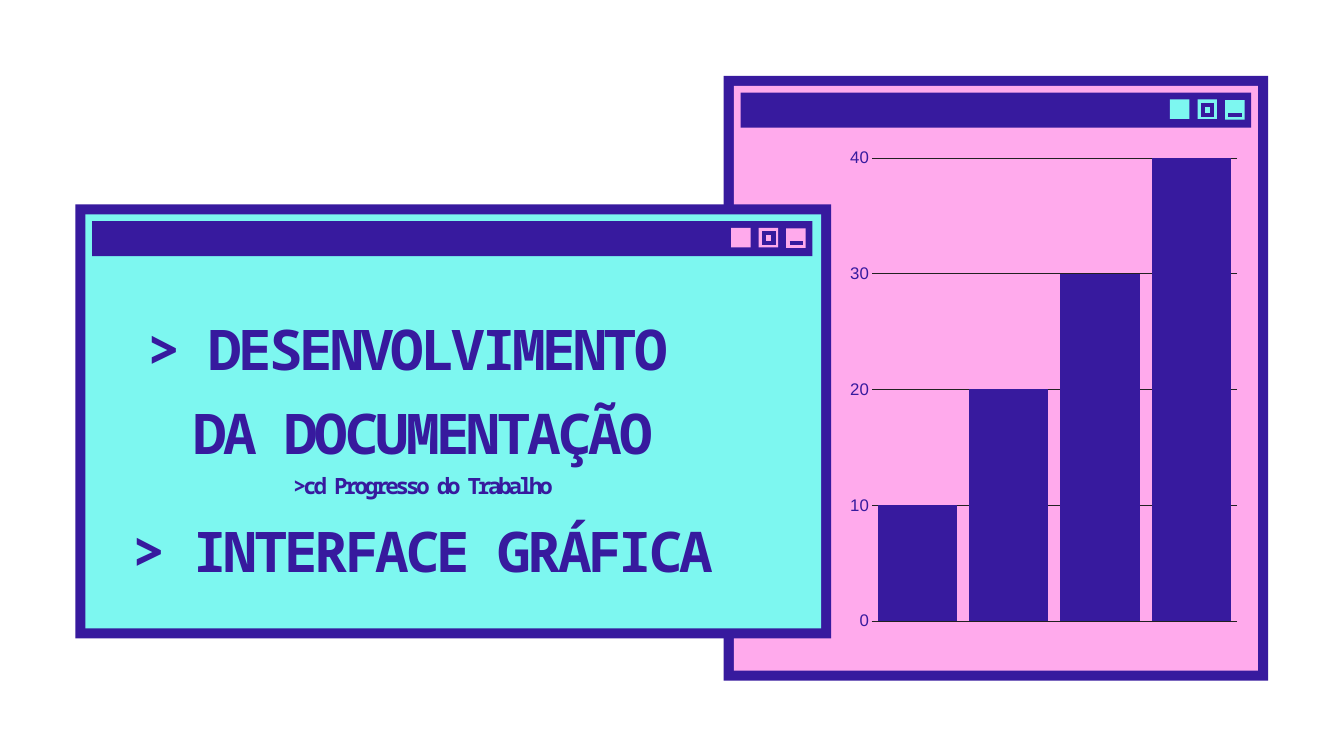
from lxml.etree import SubElement
from pptx import Presentation
from pptx.chart.data import CategoryChartData
from pptx.dml.color import RGBColor
from pptx.enum.chart import XL_CHART_TYPE, XL_TICK_LABEL_POSITION, XL_TICK_MARK
from pptx.enum.shapes import MSO_CONNECTOR, MSO_SHAPE
from pptx.enum.text import MSO_ANCHOR, MSO_AUTO_SIZE, PP_ALIGN
from pptx.oxml.ns import qn
from pptx.util import Inches, Pt

INDIGO, PINK, CYAN, INK = "371A9E", "FFAAEC", "7DF7F0", "212121"
MONO = "Noto Sans Mono"


def color(hex_code):
    """Turn a hex string into a colour."""
    return RGBColor.from_string(hex_code)


def add_block(slide, left, top, width, height, fill):
    """Draw a plain filled rectangle."""
    block = slide.shapes.add_shape(MSO_SHAPE.RECTANGLE, Inches(left), Inches(top),
                                   Inches(width), Inches(height))
    block.shadow.inherit = False
    block.fill.solid()
    block.fill.fore_color.rgb = color(fill)
    block.line.fill.background()


def add_stroke(slide, left, top, width=0, height=0):
    """Draw a thick straight line."""
    stroke = slide.shapes.add_connector(MSO_CONNECTOR.STRAIGHT, Inches(left), Inches(top),
                                        Inches(left + width), Inches(top + height))
    stroke.line.color.rgb = color(INDIGO)
    stroke.line.width = Pt(4.5)
    SubElement(stroke._element.spPr, qn("a:effectLst"))


def add_text(paragraph, text, size, font=MONO, fill=INDIGO, bold=True, spacing=0):
    """Append a formatted run to a paragraph."""
    run = paragraph.add_run()
    run.text = text
    run.font.size = Pt(size)
    run.font.name = font
    run.font.bold = bold
    run.font.color.rgb = color(fill)
    run._r.get_or_add_rPr().set("spc", str(round(spacing * 100)))


def add_buttons(slide, right, top, accent):
    """Draw the three window buttons, leftwards from the right edge."""
    side, pitch = 0.29, 0.41
    minimize = right - side
    restore = minimize - pitch
    add_block(slide, minimize, top + 0.01, side, side, accent)
    for left in (restore, restore - pitch):
        add_block(slide, left, top, side, side, accent)
    for left in (minimize, restore):
        add_stroke(slide, left + 0.05, top + 0.23, width=0.2)
    add_stroke(slide, restore + 0.11, top + 0.08, width=0.08)
    for offset in (0.08, 0.22):
        add_stroke(slide, restore + offset, top + 0.05, height=0.2)


def add_window(slide, left, top, width, height, body, accent, bar_width):
    """Draw a framed window with a title bar and its buttons."""
    border, margin = 0.15, 0.25
    add_block(slide, left, top, width, height, INDIGO)
    add_block(slide, left + border, top + border,
              width - 2 * border, height - 2 * border, body)
    add_block(slide, left + margin, top + margin, bar_width, 0.52, INDIGO)
    add_buttons(slide, left + margin + bar_width - 0.1, top + margin + 0.1, accent)


def place_title(slide, left, top, width, height):
    """Fill the title placeholder and bring it in front of the windows."""
    title = slide.shapes.title
    title.left, title.top = Inches(left), Inches(top)
    title.width, title.height = Inches(width), Inches(height)
    frame = title.text_frame
    frame.word_wrap = True
    frame.auto_size = MSO_AUTO_SIZE.NONE
    frame.vertical_anchor = MSO_ANCHOR.TOP
    frame.margin_left = frame.margin_right = frame.margin_bottom = 0
    frame.margin_top = Inches(0.52)

    heading = frame.paragraphs[0]
    heading.alignment = PP_ALIGN.CENTER
    heading.line_spacing = 1.25
    heading.space_before = Pt(10.4)
    lines = [("> DESENVOLVIMENTO ", 60), ("DA DOCUMENTAÇÃO", 60),
             (">cd Progresso do Trabalho", 24), ("> INTERFACE GRÁFICA", 60)]
    for index, (text, size) in enumerate(lines):
        if index:
            heading.add_line_break()
        add_text(heading, text, size, spacing=-3.4)
    slide.shapes._spTree.append(title._element)


def set_plot_area(chart, **fractions):
    """Fix the inner plot area as fractions of the chart box."""
    plot_area = chart._chartSpace.chart.plotArea
    for old in plot_area.findall(qn("c:layout")):
        plot_area.remove(old)
    layout = SubElement(plot_area, qn("c:layout"))
    plot_area.insert(0, layout)
    manual = SubElement(layout, qn("c:manualLayout"))
    settings = {"layoutTarget": "inner", "xMode": "edge", "yMode": "edge", **fractions}
    for name, value in settings.items():
        SubElement(manual, qn(f"c:{name}")).set("val", str(value))


def add_progress_chart(slide, left, top, width, height):
    """Draw the column chart with its value scale and gridlines."""
    progress = CategoryChartData()
    progress.categories = ["1", "2", "3", "4"]
    progress.add_series("Progresso", (10, 20, 30, 40))
    chart = slide.shapes.add_chart(XL_CHART_TYPE.COLUMN_CLUSTERED, Inches(left), Inches(top),
                                   Inches(width), Inches(height), progress).chart
    chart.has_legend = chart.has_title = False
    chart.font.name = "Arial"
    chart.font.size = Pt(18)
    chart.font.color.rgb = color(INDIGO)

    columns = chart.plots[0]
    columns.gap_width = 15
    columns.vary_by_categories = False
    columns.series[0].format.fill.solid()
    columns.series[0].format.fill.fore_color.rgb = color(INDIGO)

    scale = chart.value_axis
    scale.minimum_scale, scale.maximum_scale, scale.major_unit = 0, 40, 10
    scale.major_tick_mark = XL_TICK_MARK.NONE
    scale.format.line.fill.background()
    scale.has_major_gridlines = True
    baseline = chart.category_axis
    baseline.tick_label_position = XL_TICK_LABEL_POSITION.NONE
    baseline.major_tick_mark = XL_TICK_MARK.NONE
    for line in (scale.major_gridlines.format.line, baseline.format.line):
        line.color.rgb = color(INK)
        line.width = Pt(0.75)

    set_plot_area(chart, x=round(0.57 / width, 4), y=round(0.25 / height, 4),
                  w=round(5.44 / width, 4), h=round(6.89 / height, 4))


def build_slide(deck):
    """Compose the two windows, the chart and the title."""
    slide = deck.slides.add_slide(deck.slide_layouts[5])
    add_window(slide, 10.77, 1.13, 8.1, 9, body=PINK, accent=CYAN, bar_width=7.6)
    add_progress_chart(slide, 12.4, 2.1, 6.2, 7.4)
    add_window(slide, 1.12, 3.04, 11.25, 6.46, body=CYAN, accent=PINK, bar_width=10.72)
    place_title(slide, 1.93, 3.91, 8.73, 6.08)


deck = Presentation()
deck.slide_width, deck.slide_height = Inches(20), Inches(11.25)
build_slide(deck)
deck.save("out.pptx")
